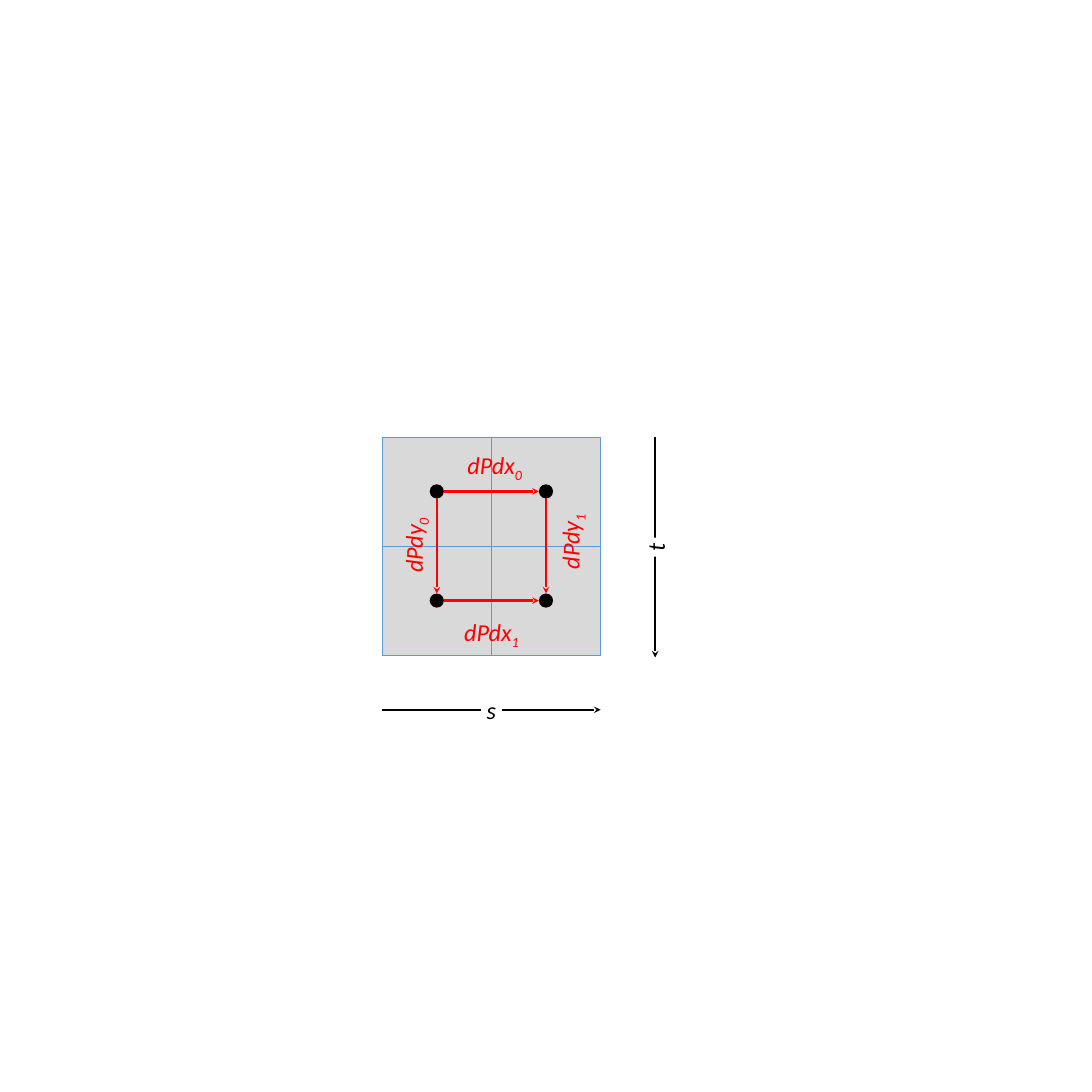
from lxml import etree
from pptx import Presentation
from pptx.dml.color import RGBColor
from pptx.enum.shapes import MSO_CONNECTOR, MSO_SHAPE
from pptx.enum.text import MSO_AUTO_SIZE, PP_ALIGN
from pptx.oxml.ns import qn
from pptx.util import Pt

STRAIGHT = MSO_CONNECTOR.STRAIGHT
RECTANGLE, OVAL = MSO_SHAPE.RECTANGLE, MSO_SHAPE.OVAL
CENTER = PP_ALIGN.CENTER
FIT_SHAPE = MSO_AUTO_SIZE.SHAPE_TO_FIT_TEXT

COLORS = {
    "ink": "000000",
    "paper": "FFFFFF",
    "pixel": "D9D9D9",
    "grid": "5B9BD5",
    "derivative": "FF0000",
}
FONT = "Calibri"
SLIDE_SIZE = 1440
GRID_BOX = (504, 576, 288)  # left, top, side
DOT = 18.72
LABEL_HEIGHT = 46


def color(name):
    return RGBColor.from_string(COLORS[name])


def add_filled(slide, kind, left, top, width, height, fill):
    shape = slide.shapes.add_shape(kind, Pt(left), Pt(top), Pt(width), Pt(height))
    shape.shadow.inherit = False
    shape.fill.solid()
    shape.fill.fore_color.rgb = color(fill)
    shape.line.fill.background()
    return shape


def add_line(slide, start, end, line_color, width, arrow=False):
    line = slide.shapes.add_connector(STRAIGHT, *map(Pt, (*start, *end)))
    line.line.color.rgb = color(line_color)
    line.line.width = Pt(width)
    if arrow:
        outline = line.line._get_or_add_ln()
        etree.SubElement(outline, qn("a:tailEnd"), type="stealth")
    etree.SubElement(line._element.spPr, qn("a:effectLst"))


def add_label(slide, text, center_x, center_y, width, *, subscript="",
              font_color="ink", fill=None, rotation=0):
    left, top = center_x - width / 2, center_y - LABEL_HEIGHT / 2
    if fill:
        shape = add_filled(slide, RECTANGLE, left, top, width, LABEL_HEIGHT, fill)
    else:
        shape = slide.shapes.add_textbox(Pt(left), Pt(top), Pt(width), Pt(LABEL_HEIGHT))
    shape.rotation = rotation
    frame = shape.text_frame
    frame.word_wrap = False
    frame.auto_size = FIT_SHAPE
    paragraph = frame.paragraphs[0]
    paragraph.alignment = CENTER
    for part, baseline in ((text, None), (subscript, "-25000")):
        if not part:
            continue
        run = paragraph.add_run()
        run.text = part
        run.font.name = FONT
        run.font.size = Pt(32)
        run.font.italic = True
        run.font.color.rgb = color(font_color)
        if baseline:
            run.font._element.set("baseline", baseline)


def draw_axes(slide, left, top, side):
    """Texture axes below and to the right of the pixel grid."""
    gap = side / 4
    s_y, t_x = top + side + gap, left + side + gap
    add_line(slide, (left, s_y), (left + side, s_y), "ink", 3, arrow=True)
    add_label(slide, "s", left + side / 2, s_y, 27.4, fill="paper")
    add_line(slide, (t_x, top), (t_x, top + side + 3), "ink", 3, arrow=True)
    add_label(slide, "t", t_x, top + side / 2 + 1.5, 25.2, fill="paper", rotation=270)


def draw_pixels(slide, left, top, side):
    """Two by two pixels with a sample point in each."""
    add_filled(slide, RECTANGLE, left, top, side, side, "pixel")
    for step in range(3):
        x, y = left + step * side / 2, top + step * side / 2
        add_line(slide, (left, y), (left + side, y), "grid", 0.5)
        add_line(slide, (x, top), (x, top + side), "grid", 0.5)
    for column in (1, 3):
        for row in (1, 3):
            add_filled(slide, OVAL, left + column * side / 4 - DOT / 2,
                       top + row * side / 4 - DOT / 2, DOT, DOT, "ink")


def draw_derivatives(slide, left, top, side):
    """Arrows between the sample points, with their names."""
    near, far = side / 4 + DOT / 2, side * 3 / 4 - DOT / 2
    for offset in (side / 4, side * 3 / 4):
        x, y = left + offset, top + offset
        add_line(slide, (left + near, y), (left + far, y), "derivative", 3, arrow=True)
        add_line(slide, (x, top + near), (x, top + far), "derivative", 3, arrow=True)

    # Label centres are offsets from the middle of the grid
    labels = (
        ("dPdx", "0", 4.3, -107, 0),
        ("dPdx", "1", 0, 113, 0),
        ("dPdy", "0", -103, -0.7, 270),
        ("dPdy", "1", 103.7, -5.8, 270),
    )
    for text, subscript, dx, dy, rotation in labels:
        add_label(slide, text, left + side / 2 + dx, top + side / 2 + dy, 89.3,
                  subscript=subscript, font_color="derivative", rotation=rotation)


def main():
    presentation = Presentation()
    presentation.slide_width = presentation.slide_height = Pt(SLIDE_SIZE)
    slide = presentation.slides.add_slide(presentation.slide_layouts[6])
    draw_axes(slide, *GRID_BOX)
    draw_pixels(slide, *GRID_BOX)
    draw_derivatives(slide, *GRID_BOX)
    presentation.save("out.pptx")


if __name__ == "__main__":
    main()
